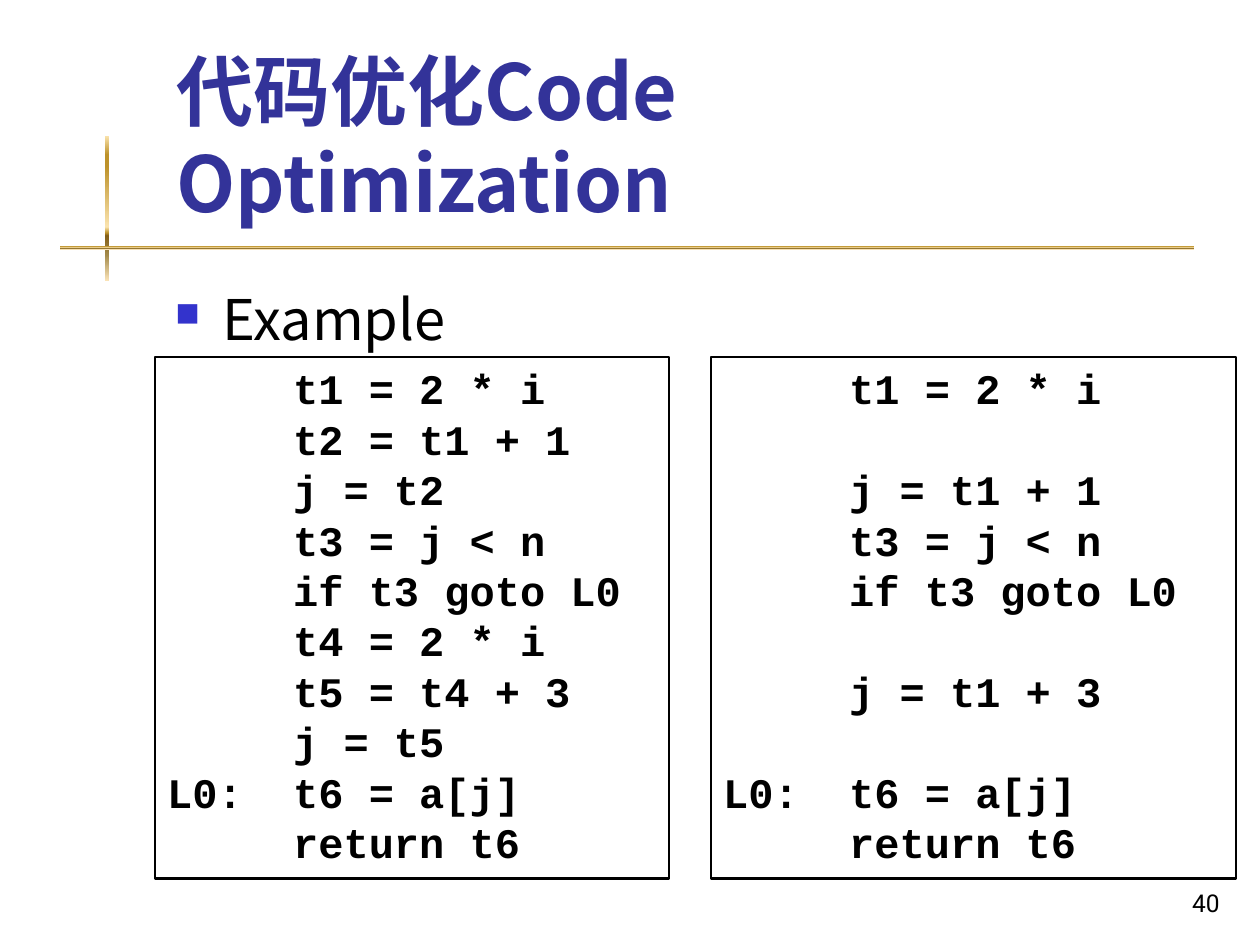
from dataclasses import dataclass

from lxml import etree
from pptx import Presentation
from pptx.dml.color import RGBColor
from pptx.enum.shapes import MSO_SHAPE
from pptx.enum.text import MSO_ANCHOR, PP_ALIGN
from pptx.oxml.ns import qn
from pptx.util import Cm, Pt

RECT = MSO_SHAPE.RECTANGLE
TOP, BOTTOM = MSO_ANCHOR.TOP, MSO_ANCHOR.BOTTOM
LEFT, RIGHT = PP_ALIGN.LEFT, PP_ALIGN.RIGHT
SANS, MONO = "Noto Sans CJK JP", "Courier New"
BLACK, NAVY, BLUE = "000000", "333399", "3333CC"
GOLD = [(0, "FBE4AE"), (13, "BD922A"), (21, "BD922A"), (63, "FBE4AE"),
        (67, "BD922A"), (69, "835E17"), (82, "A28949"), (100, "FAE3B7")]


@dataclass
class Box:
    left: float
    top: float
    width: float
    height: float

    def place(self) -> tuple:
        return Cm(self.left), Cm(self.top), Cm(self.width), Cm(self.height)


@dataclass
class Code:
    box: Box
    text: str


BARS = [Box(2.11, 2.74, 0.08, 2.92), Box(1.22, 4.95, 22.86, 0.08)]
CODES = [
    Code(Box(3.12, 7.19, 10.36, 10.52), """\tt1 = 2 * i
\tt2 = t1 + 1
\tj = t2
\tt3 = j < n
\tif t3 goto L0
\tt4 = 2 * i
\tt5 = t4 + 3
\tj = t5
L0: \tt6 = a[j]
\treturn t6"""),
    Code(Box(14.33, 7.19, 10.59, 10.52), """\tt1 = 2 * i
\t
\tj = t1 + 1
\tt3 = j < n
\tif t3 goto L0
\t
\tj = t1 + 3
\t
L0: \tt6 = a[j]
\treturn t6"""),
]


def color(code: str) -> RGBColor:
    return RGBColor.from_string(code)


def write(shape, text: str, font: str, size: float, ink: str = BLACK,
          bold: bool = False, align=LEFT, anchor=TOP):
    """Fill a shape with one paragraph; line ends become line breaks."""
    frame = shape.text_frame
    frame.word_wrap = True
    frame.vertical_anchor = anchor
    para = frame.paragraphs[0]
    para.text = text.replace("\n", "\v")
    para.alignment = align
    face = para.font
    face.name, face.size, face.bold = font, Pt(size), bold
    face.color.rgb = color(ink)
    props = para._p.pPr
    etree.SubElement(props.find(qn("a:defRPr")), qn("a:ea"), typeface=font)
    return para


def draw_bar(slide, box: Box) -> None:
    bar = slide.shapes.add_shape(RECT, *box.place())
    bar.shadow.inherit = False
    bar.line.fill.background()
    bar.fill.gradient()
    bar.fill.gradient_angle = 270
    stops = bar._element.spPr.find(".//" + qn("a:gsLst"))
    for old in list(stops):
        stops.remove(old)
    for spot, tint in GOLD:
        stop = etree.SubElement(stops, qn("a:gs"), pos=str(spot * 1000))
        etree.SubElement(stop, qn("a:srgbClr"), val=tint)


def draw_code(slide, code: Code) -> None:
    shape = slide.shapes.add_shape(RECT, *code.box.place())
    shape.shadow.inherit = False
    shape.fill.background()
    shape.line.color.rgb = color(BLACK)
    shape.line.width = Pt(1.25)
    para = write(shape, code.text, MONO, 24, bold=True)
    para.line_spacing = Pt(28.8)
    para._p.pPr.set("defTabSz", str(Cm(2.54)))


def add_bullet(para) -> None:
    props = para._p.pPr
    props.set("marL", str(Cm(0.95)))
    props.set("indent", str(-Cm(0.95)))
    tint = etree.Element(qn("a:buClr"))
    etree.SubElement(tint, qn("a:srgbClr"), val=BLUE)
    size = etree.Element(qn("a:buSzPct"), val="60000")
    mark = etree.Element(qn("a:buChar"), char="■")
    for part in (tint, size, mark):
        props.find(qn("a:defRPr")).addprevious(part)


def main() -> None:
    deck = Presentation()
    deck.slide_width, deck.slide_height = Cm(25.4), Cm(19.05)
    slide = deck.slides.add_slide(deck.slide_layouts[5])
    for bar in BARS:
        draw_bar(slide, bar)

    title = slide.shapes.title
    title.left, title.top, title.width, title.height = Box(3.3, 1.93, 20.96, 2.79).place()
    write(title, "代码优化Code Optimization", SANS, 44, NAVY, True, anchor=BOTTOM)

    body = slide.shapes.add_textbox(*Box(3.28, 5.61, 21.59, 12.52).place())
    add_bullet(write(body, "Example", SANS, 32))
    for code in CODES:
        draw_code(slide, code)

    number = slide.shapes.add_textbox(*Box(19.56, 17.35, 5.28, 1.27).place())
    write(number, "40", "Roboto", 14, align=RIGHT, anchor=BOTTOM)
    deck.save("out.pptx")


if __name__ == "__main__":
    main()
